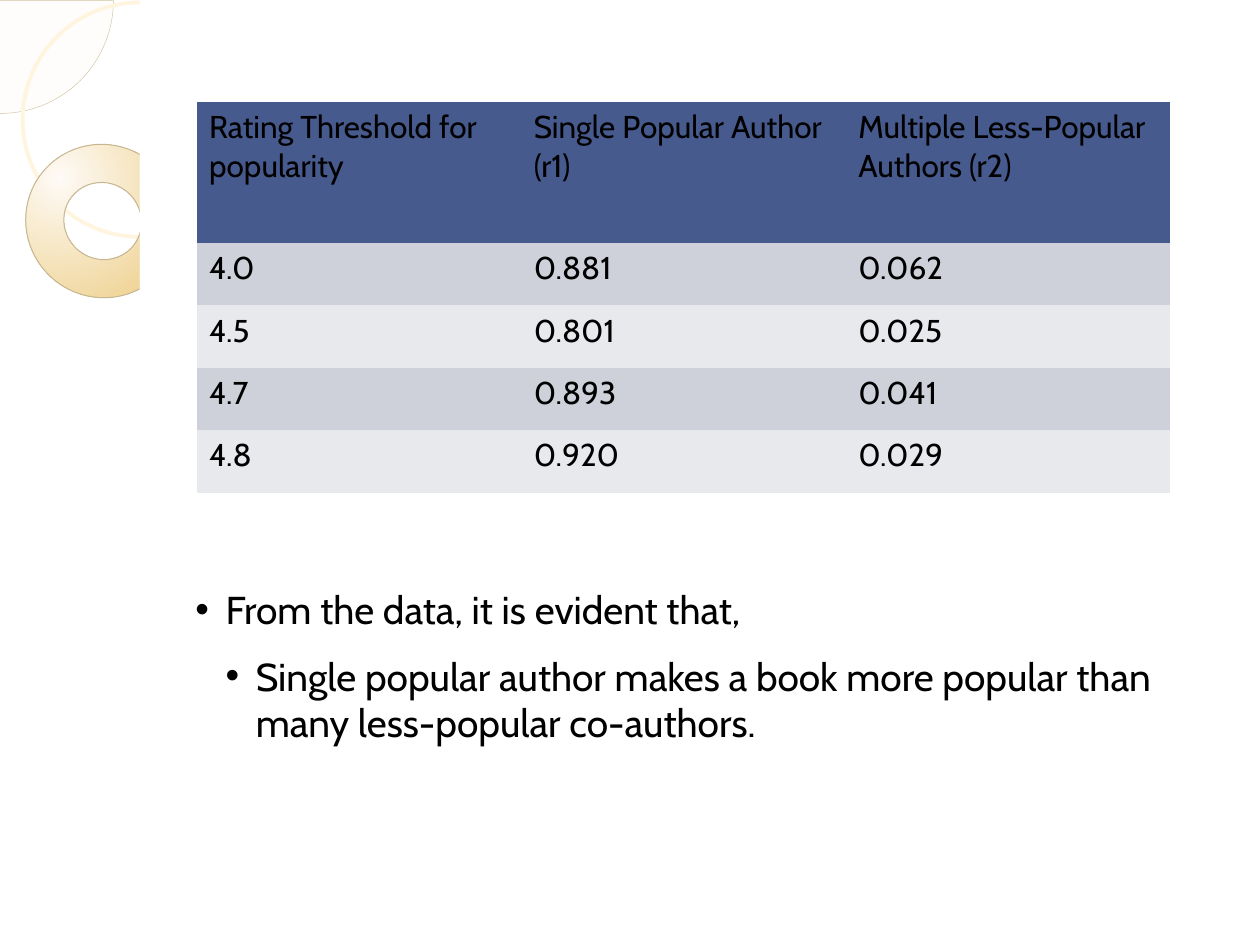
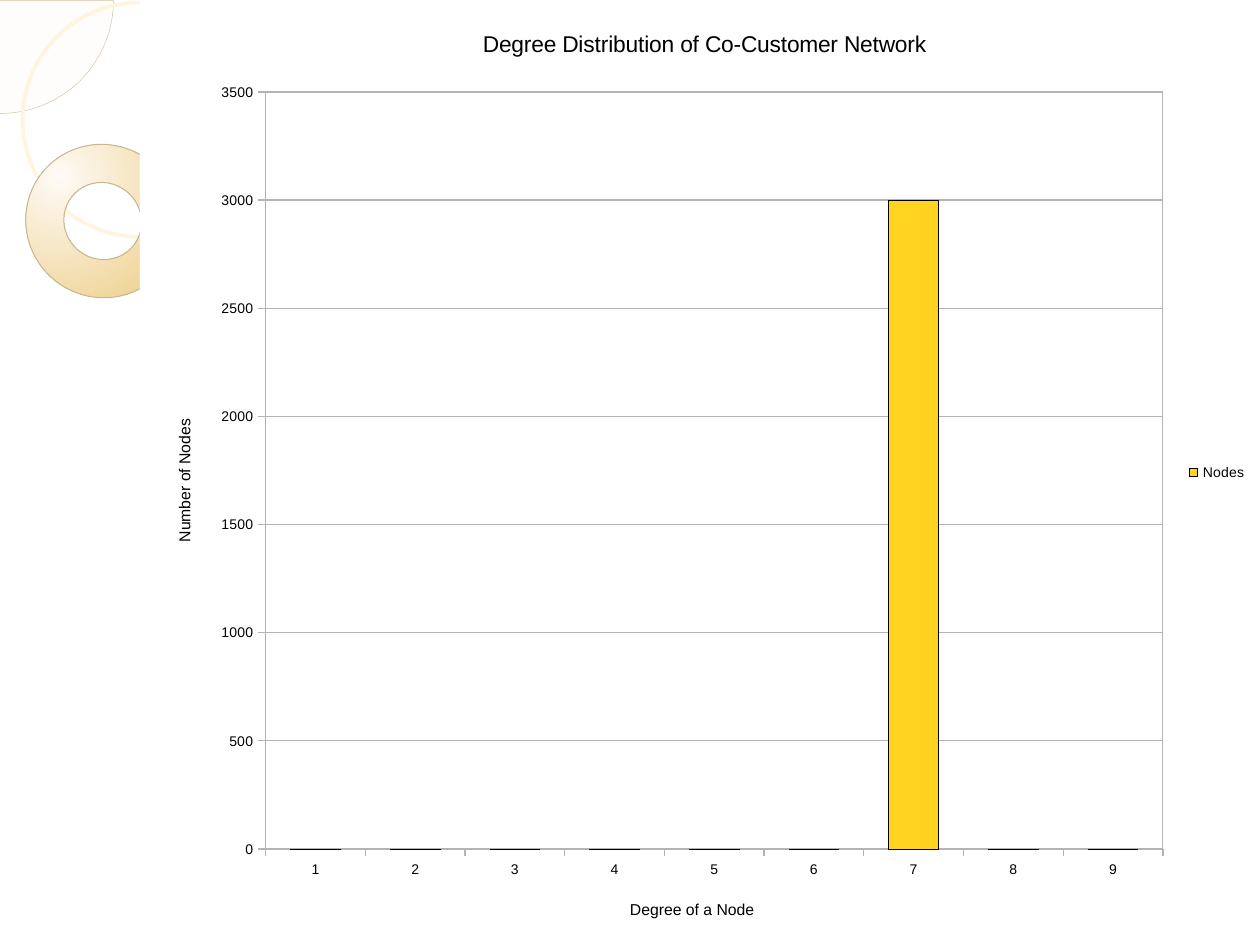
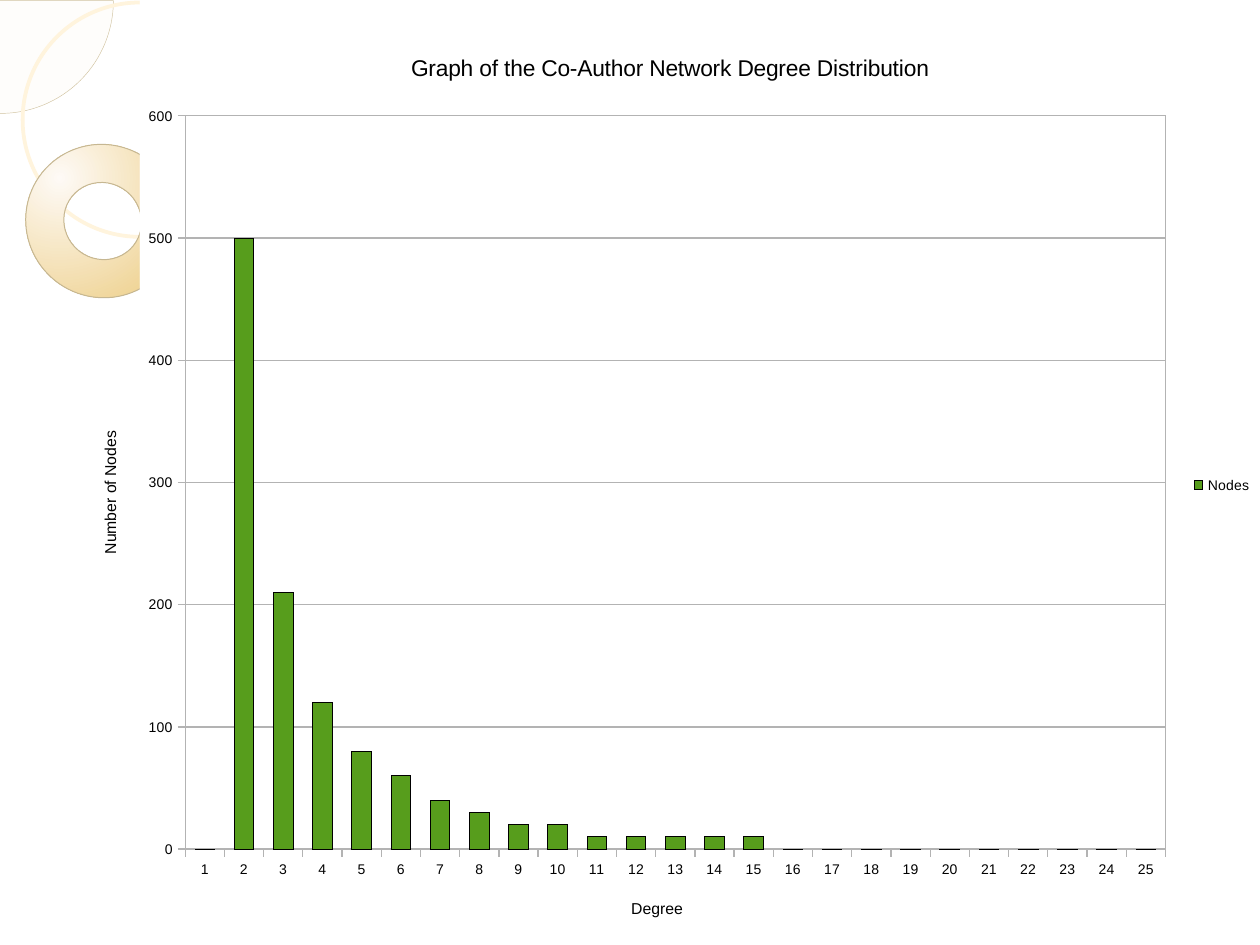
from dataclasses import dataclass

from lxml.etree import SubElement
from pptx import Presentation
from pptx.chart.data import CategoryChartData
from pptx.dml.color import RGBColor
from pptx.enum.chart import XL_CHART_TYPE, XL_LEGEND_POSITION, XL_TICK_MARK
from pptx.enum.shapes import MSO_SHAPE
from pptx.oxml import parse_xml
from pptx.oxml.ns import nsdecls, qn
from pptx.util import Inches, Pt


@dataclass(frozen=True)
class Theme:
    # Colours
    ink: str = "000000"
    paper: str = "FFFFFF"
    header: str = "475A8D"
    bands: tuple = ("CFD1DA", "E8E9ED")
    rule: str = "B3B3B3"
    customer_bar: str = "FFD320"
    author_bar: str = "579D1C"
    disc: str = "FCFAF4"
    disc_line: str = "D1C3A0"
    ring_line: str = "FFF4DD"
    donut_light: str = "FEFAF6"
    donut_dark: str = "EED18E"
    donut_line: str = "C6B792"
    # Fonts and sizes
    body_font: str = "Cabin"
    chart_font: str = "Arial"
    table_size: float = 18
    bullet_size: float = 22.2
    chart_size: float = 10
    chart_title_size: float = 13
    axis_title_size: float = 9
    label_size: float = 8


PLAIN_TABLE_STYLE = "{2D5ABB26-0587-4C30-8999-92F81FD0307C}"


def format_font(font, name, size, color):
    font.name, font.size, font.bold = name, Pt(size), False
    font.color.rgb = RGBColor.from_string(color)


def write_text(para, text, **style):
    span = para.add_run()
    span.text = text
    format_font(span.font, **style)


def format_line(line, color, width=0):
    line.color.rgb = RGBColor.from_string(color)
    line.width = Pt(width)


def chart_area_format(fill=None, line=None):
    def paint(color):
        if color is None:
            return "<a:noFill/>"
        return f'<a:solidFill><a:srgbClr val="{color}"/></a:solidFill>'
    return parse_xml(f'<c:spPr {nsdecls("c", "a")}>{paint(fill)}'
                     f'<a:ln w="0">{paint(line)}</a:ln></c:spPr>')


class Builder:
    def __init__(self, deck, theme):
        self.deck, self.theme, self.page = deck, theme, None

    def new_page(self):
        self.page = self.deck.slides.add_slide(self.deck.slide_layouts[6])

    def master_shape(self, kind, place, fill=None, line=None, width=0, adjust=()):
        """Draw a shape on the page, then move it to the master."""
        shape = self.page.shapes.add_shape(kind, *map(Inches, place))
        shape.shadow.inherit = False
        for index, value in enumerate(adjust):
            shape.adjustments[index] = value
        if fill:
            shape.fill.solid()
            shape.fill.fore_color.rgb = RGBColor.from_string(fill)
        else:
            shape.fill.background()
        if line:
            format_line(shape.line, line, width)
        else:
            shape.line.fill.background()
        self.deck.slide_master.shapes.element.append(shape.element)
        return shape

    def master_frame(self):
        theme = self.theme
        # Translucent disc in the corner and thin ring
        disc = self.master_shape(MSO_SHAPE.BLOCK_ARC, (-0.89, -0.89, 1.79, 1.79),
                                 theme.disc, theme.disc_line, 0.25, (0, 108, 0.5))
        color = next(disc.element.spPr.iter(qn("a:srgbClr")))
        SubElement(color, qn("a:alpha"), val="33000")
        self.master_shape(MSO_SHAPE.OVAL, (0.18, 0.02, 1.86, 1.86),
                          line=theme.ring_line, width=2.15)
        # Donut with a radial gradient
        donut = self.master_shape(MSO_SHAPE.DONUT, (0.2, 1.15, 1.23, 1.21),
                                  line=theme.donut_line, width=0.57, adjust=(0.25,))
        donut.rotation = 38.6
        gradient = parse_xml(
            f'<a:gradFill {nsdecls("a")} rotWithShape="0"><a:gsLst>'
            f'<a:gs pos="0"><a:srgbClr val="{theme.donut_light}"/></a:gs>'
            f'<a:gs pos="100000"><a:srgbClr val="{theme.donut_dark}"/></a:gs></a:gsLst>'
            '<a:path path="circle"><a:fillToRect l="30000" t="30000" r="70000" b="70000"/>'
            '</a:path></a:gradFill>')
        properties = donut.element.spPr
        properties.replace(properties.find(qn("a:noFill")), gradient)
        # White content panel and its edge
        for width in (8.89, 0.08):
            self.master_shape(MSO_SHAPE.RECTANGLE, (1.11, 0, width, 7.5), theme.paper)

    def table(self, place, rows, header_height):
        theme = self.theme
        frame = self.page.shapes.add_table(len(rows), len(rows[0]), *map(Inches, place))
        next(frame.element.iter(qn("a:tableStyleId"))).text = PLAIN_TABLE_STYLE
        table = frame.table
        table.first_row = table.horz_banding = False
        row_height = (place[3] - header_height) / (len(rows) - 1)
        for index, texts in enumerate(rows):
            table.rows[index].height = Inches(row_height if index else header_height)
            color = theme.bands[(index - 1) % 2] if index else theme.header
            for cell, text in zip(table.rows[index].cells, texts):
                cell.fill.solid()
                cell.fill.fore_color.rgb = RGBColor.from_string(color)
                write_text(cell.text_frame.paragraphs[0], text, name=theme.body_font,
                           size=theme.table_size, color=theme.ink)

    def bullets(self, place, items):
        theme = self.theme
        frame = self.page.shapes.add_textbox(*map(Inches, place)).text_frame
        frame.word_wrap = True
        frame.margin_left = frame.margin_top = frame.margin_right = frame.margin_bottom = 0
        for index, (level, text) in enumerate(items):
            para = frame.add_paragraph() if index else frame.paragraphs[0]
            properties = para._p.get_or_add_pPr()
            properties.set("marL", str(Inches(0.23 + 0.24 * level)))
            properties.set("indent", str(Inches(-0.24)))
            SubElement(properties, qn("a:buFont"), typeface=theme.chart_font)
            SubElement(properties, qn("a:buChar"), char="•")
            para.level = level
            para.space_after = Pt(11.3)
            write_text(para, text, name=theme.body_font, size=theme.bullet_size,
                       color=theme.ink)

    def column_chart(self, place, plot_place, title, axis_titles, values, top, step,
                     color, fill=None):
        theme = self.theme
        label = dict(name=theme.chart_font, size=theme.label_size, color=theme.ink)
        data = CategoryChartData()
        data.categories = [str(number) for number in range(1, len(values) + 1)]
        data.add_series("Nodes", values)
        chart = self.page.shapes.add_chart(
            XL_CHART_TYPE.COLUMN_CLUSTERED, *map(Inches, place), data).chart
        format_font(chart.font, theme.chart_font, theme.chart_size, theme.ink)

        # Title and legend
        chart.has_title = True
        write_text(chart.chart_title.text_frame.paragraphs[0], title,
                   **{**label, "size": theme.chart_title_size})
        chart.chart_title.include_in_layout = False
        chart.has_legend = True
        chart.legend.position = XL_LEGEND_POSITION.RIGHT
        chart.legend.include_in_layout = False
        format_font(chart.legend.font, **label)

        # Axes
        for axis, text in zip((chart.category_axis, chart.value_axis), axis_titles):
            write_text(axis.axis_title.text_frame.paragraphs[0], text,
                       **{**label, "size": theme.axis_title_size})
            axis.major_tick_mark = XL_TICK_MARK.OUTSIDE
            axis.minor_tick_mark = XL_TICK_MARK.NONE
            format_font(axis.tick_labels.font, **label)
            format_line(axis.format.line, theme.rule)
        scale = chart.value_axis
        scale.minimum_scale, scale.maximum_scale, scale.major_unit = 0, top, step
        format_line(scale.major_gridlines.format.line, theme.rule)

        # Columns
        plot = chart.plots[0]
        plot.gap_width, plot.vary_by_categories = 100, False
        bars = plot.series[0].format
        bars.fill.solid()
        bars.fill.fore_color.rgb = RGBColor.from_string(color)
        format_line(bars.line, theme.ink)

        # Chart background, plot border and plot position
        body = chart.element.find(qn("c:chart"))
        body.addnext(chart_area_format(fill))
        area = body.find(qn("c:plotArea"))
        area.append(chart_area_format(line=theme.rule))
        for old in area.findall(qn("c:layout")):
            area.remove(old)
        left, upper, width, height = place
        shares = {"x": (plot_place[0] - left) / width, "y": (plot_place[1] - upper) / height,
                  "w": plot_place[2] / width, "h": plot_place[3] / height}
        settings = "".join(f'<c:{key} val="{share:.4f}"/>' for key, share in shares.items())
        area.insert(0, parse_xml(
            f'<c:layout {nsdecls("c")}><c:manualLayout><c:layoutTarget val="inner"/>'
            f'<c:xMode val="edge"/><c:yMode val="edge"/>{settings}'
            '</c:manualLayout></c:layout>'))


def main():
    deck = Presentation()
    deck.slide_width, deck.slide_height = Inches(10), Inches(7.5)
    theme = Theme()
    builder = Builder(deck, theme)

    # Slide 1: popularity table and conclusion
    builder.new_page()
    builder.master_frame()
    builder.table((1.56, 0.81, 7.73, 3.1), [
        ("Rating Threshold for popularity", "Single Popular Author (r1)",
         "Multiple Less-Popular Authors (r2)"),
        ("4.0", "0.881", "0.062"),
        ("4.5", "0.801", "0.025"),
        ("4.7", "0.893", "0.041"),
        ("4.8", "0.920", "0.029"),
    ], header_height=1.12)
    builder.bullets((1.32, 4.65, 7.89, 1.26), [
        (1, "From the data, it is evident that,"),
        (2, "Single popular author makes a book more popular than many "
            "less-popular co-authors."),
    ])

    # Slide 2: co-customer degrees
    builder.new_page()
    builder.column_chart(
        (1.18, 0, 8.82, 7.5), (2.11, 0.73, 7.12, 6.01),
        "Degree Distribution of Co-Customer Network",
        ("Degree of a Node", "Number of Nodes"),
        (0, 0, 0, 0, 0, 0, 3000, 0, 0), 3500, 500, theme.customer_bar, theme.paper)

    # Slide 3: co-author degrees
    builder.new_page()
    author_counts = [0, 500, 210, 120, 80, 60, 40, 30, 20, 20] + [10] * 5 + [0] * 10
    builder.column_chart(
        (0.59, 0.2, 9.45, 7.3), (1.47, 0.92, 7.78, 5.82),
        "Graph of the Co-Author Network Degree Distribution",
        ("Degree", "Number of Nodes"),
        author_counts, 600, 100, theme.author_bar)

    deck.save("out.pptx")


if __name__ == "__main__":
    main()
